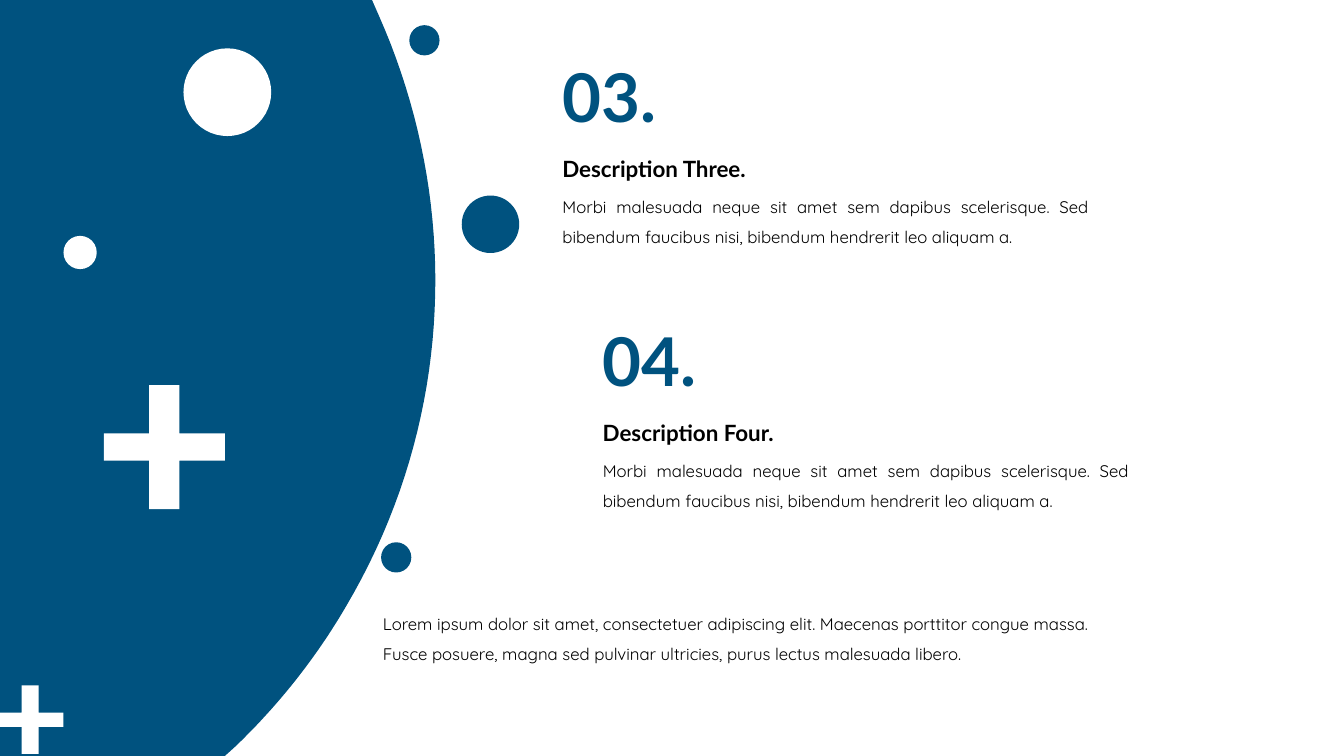
from pptx import Presentation
from pptx.dml.color import RGBColor
from pptx.enum.shapes import MSO_SHAPE
from pptx.enum.text import MSO_ANCHOR, MSO_AUTO_SIZE, PP_ALIGN
from pptx.util import Inches, Pt

BLUE = RGBColor(0x00, 0x52, 0x7F)
WHITE = RGBColor(0xFF, 0xFF, 0xFF)
BLACK = RGBColor(0x00, 0x00, 0x00)
OVAL = MSO_SHAPE.OVAL
LEFT, JUSTIFY = PP_ALIGN.LEFT, PP_ALIGN.JUSTIFY
TOP, MIDDLE = MSO_ANCHOR.TOP, MSO_ANCHOR.MIDDLE
FIT_SHAPE = MSO_AUTO_SIZE.SHAPE_TO_FIT_TEXT

ITEM_TEXT = ("Morbi malesuada neque sit amet sem dapibus scelerisque. Sed bibendum "
             "faucibus nisi, bibendum hendrerit leo aliquam a.")
CLOSING_TEXT = ("Lorem ipsum dolor sit amet, consectetuer adipiscing elit. Maecenas porttitor "
                "congue massa. Fusce posuere, magna sed pulvinar ultricies, purus lectus "
                "malesuada libero.")


def write(tf, text, font="Quicksand", size=12, color=BLACK, bold=False,
          align=LEFT, spacing=1.5):
    p = tf.paragraphs[0]
    p.alignment = align
    p.line_spacing = spacing
    r = p.add_run()
    r.text = text
    r.font.name = font
    r.font.size = Pt(size)
    r.font.bold = bold
    r.font.color.rgb = color


def bezier(p0, p1, p2, p3, steps=40):
    """Points along a cubic curve, without its start."""
    points = []
    for i in range(1, steps + 1):
        t = i / steps
        u = 1 - t
        points.append(tuple(u**3 * a + 3 * u * u * t * b + 3 * u * t * t * c + t**3 * d
                            for a, b, c, d in zip(p0, p1, p2, p3)))
    return points


class SlideBuilder:
    def __init__(self, prs):
        self.s = prs.slides.add_slide(prs.slide_layouts[6])

    def paint(self, sp, color):
        sp.shadow.inherit = False
        sp.fill.solid()
        sp.fill.fore_color.rgb = color
        sp.line.fill.background()

    def circle(self, x, y, d, color):
        sp = self.s.shapes.add_shape(OVAL, Inches(x), Inches(y), Inches(d), Inches(d))
        self.paint(sp, color)

    def outline(self, points, color):
        points = [(Inches(x), Inches(y)) for x, y in points]
        builder = self.s.shapes.build_freeform(*points[0])
        builder.add_line_segments(points[1:], close=True)
        self.paint(builder.convert_to_shape(), color)

    def plus(self, x, y, w, h, bar_w, bar_h, color):
        x1, y1 = x + (w - bar_w) / 2, y + (h - bar_h) / 2
        x2, y2 = x1 + bar_w, y1 + bar_h
        right, bottom = x + w, y + h
        self.outline([(x1, y), (x2, y), (x2, y1), (right, y1), (right, y2), (x2, y2),
                      (x2, bottom), (x1, bottom), (x1, y2), (x, y2), (x, y1), (x1, y1)],
                     color)

    def text(self, x, y, w, h, text, anchor=TOP, **style):
        tf = self.s.shapes.add_textbox(Inches(x), Inches(y), Inches(w), Inches(h)).text_frame
        tf.word_wrap = True
        tf.auto_size = FIT_SHAPE
        tf.vertical_anchor = anchor
        write(tf, text, **style)

    def item(self, x, y, number, title):
        self.text(x, y + 1.3, 5.42, 0.71, ITEM_TEXT, align=JUSTIFY)
        self.text(x, y + 0.86, 3.14, 0.45, title, font="Lato", size=16, bold=True)
        self.text(x, y, 1.43, 0.91, number, font="Lato", size=48, bold=True,
                  color=BLUE, spacing=1.0)


def main():
    prs = Presentation()
    prs.slide_width, prs.slide_height = Inches(13.33), Inches(7.5)
    slide = SlideBuilder(prs)

    # Curved panel on the left
    upper = bezier((3.76, 0.16), (4.57, 1.99), (4.53, 4.16), (3.43, 6.02))
    lower = bezier((3.43, 6.02), (3.12, 6.55), (2.74, 7.02), (2.32, 7.42))
    slide.outline([(0, 0), (3.69, 0), (3.76, 0.16), *upper, *lower, (2.23, 7.5), (0, 7.5)],
                  BLUE)

    # Numbered descriptions and closing text
    slide.item(5.48, 0.5, "03.", "Description Three.")
    slide.item(5.88, 3.12, "04.", "Description Four.")
    slide.text(3.7, 5.93, 7.6, 0.71, CLOSING_TEXT, anchor=MIDDLE)

    # Dots beside and on the panel
    for x, y, d, color in [(4.06, 0.25, 0.3, BLUE), (4.58, 1.94, 0.57, BLUE),
                           (3.78, 5.38, 0.3, BLUE), (1.82, 0.48, 0.87, WHITE),
                           (0.63, 2.34, 0.33, WHITE)]:
        slide.circle(x, y, d, color)

    # Plus signs
    slide.plus(-0.03, 6.8, 0.66, 0.68, 0.17, 0.14, WHITE)
    slide.plus(1.03, 3.82, 1.2, 1.23, 0.3, 0.27, WHITE)

    prs.save("out.pptx")


if __name__ == "__main__":
    main()
